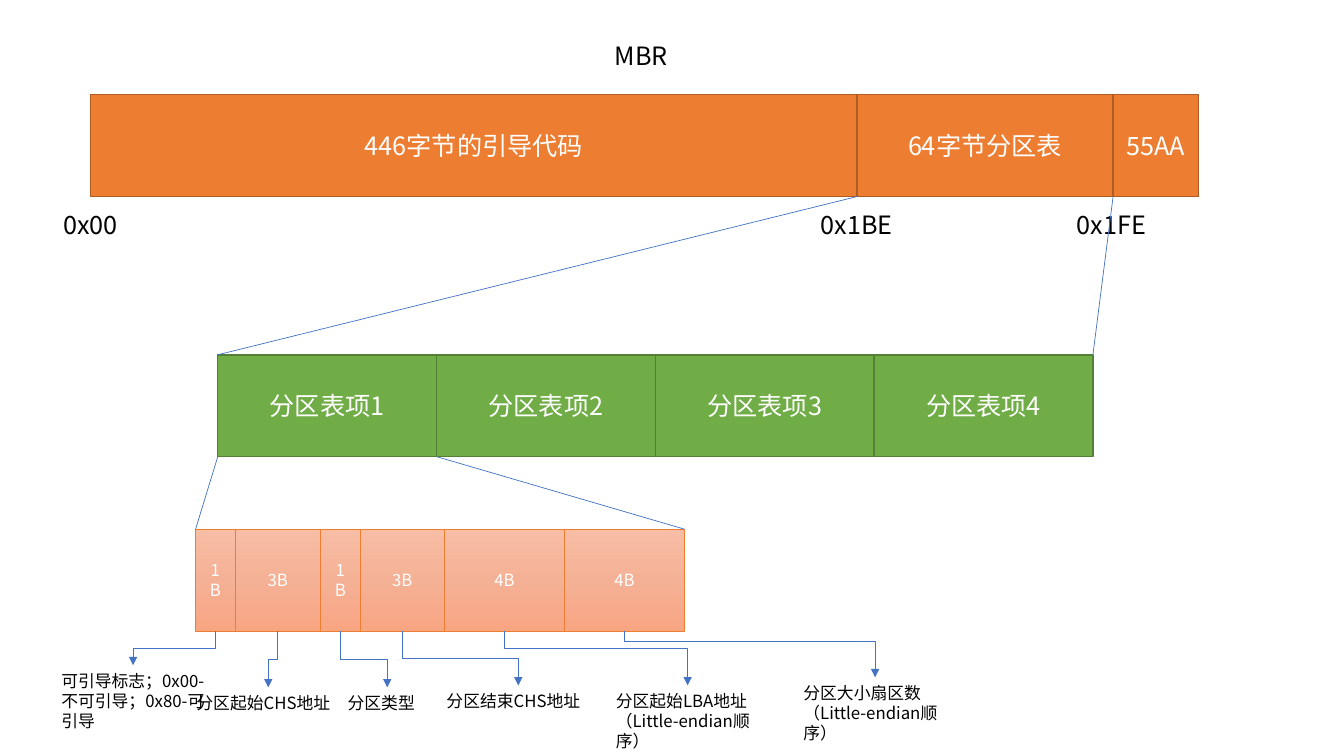
"""Build the MBR layout slide: boot sector, partition table and entry fields."""
from copy import deepcopy
from dataclasses import dataclass

from lxml import etree
from pptx import Presentation
from pptx.dml import color
from pptx.enum import shapes, text
from pptx.oxml import ns
from pptx.shapes import connector
from pptx.slide import Slide
from pptx.text import text as frames
from pptx import util as u

FONT = "Noto Sans CJK SC"
WHITE, BLACK, BLUE = "FFFFFF", "000000", "4472C4"
BAR_HEIGHT = 1.01


@dataclass
class Cell:
    """One labelled part of a bar."""
    label: str
    width: float


@dataclass
class Bar:
    """A row of adjoining cells with one style."""
    left: float
    top: float
    cells: list[Cell]
    fills: list[str]
    border: str
    border_width: float
    size: int

    @property
    def edges(self) -> list[float]:
        """Return the x of every cell boundary."""
        return [self.left + sum(cell.width for cell in self.cells[:i])
                for i in range(len(self.cells) + 1)]

    @property
    def bottom(self) -> float:
        """Return the y of the lower side."""
        return self.top + BAR_HEIGHT


@dataclass
class Caption:
    """Free text on the slide."""
    words: str
    left: float
    top: float
    width: float
    height: float = 0.4
    size: int = 18


@dataclass
class Note:
    """Explanation of an entry field and the bend of its arrow."""
    words: str
    left: float
    top: float
    width: float = 1.62
    height: float = 0.3
    bend: float = 0.5


def rgb(value: str) -> color.RGBColor:
    """Turn a hex string into a colour."""
    return color.RGBColor.from_string(value)


def write(frame: frames.TextFrame, words: str, size: int, ink: str) -> None:
    """Add one formatted run to the first paragraph."""
    run = frame.paragraphs[0].add_run()
    run.text = words
    run.font.name = FONT
    run.font.size = u.Pt(size)
    run.font.color.rgb = rgb(ink)
    latin = run.font._element.find(ns.qn("a:latin"))
    latin.addnext(latin.makeelement(ns.qn("a:ea"), {"typeface": FONT}))


def draw_bar(slide: Slide, bar: Bar) -> None:
    """Draw the cells of a bar from left to right."""
    for cell, left in zip(bar.cells, bar.edges):
        box = slide.shapes.add_shape(
            shapes.MSO_SHAPE.RECTANGLE, u.Inches(left), u.Inches(bar.top),
            u.Inches(cell.width), u.Inches(BAR_HEIGHT))
        box.shadow.inherit = False
        if len(bar.fills) == 1:
            box.fill.solid()
            box.fill.fore_color.rgb = rgb(bar.fills[0])
        else:
            box.fill.gradient()
            box.fill.gradient_angle = 270
            first = next(box._element.spPr.iter(ns.qn("a:gs")))
            first.addnext(deepcopy(first))
            for i, (stop, tone) in enumerate(zip(box.fill.gradient_stops, bar.fills)):
                stop.position = i / (len(bar.fills) - 1)
                stop.color.rgb = rgb(tone)
        box.line.color.rgb = rgb(bar.border)
        box.line.width = u.Pt(bar.border_width)
        frame = box.text_frame
        frame.word_wrap = True
        frame.vertical_anchor = text.MSO_ANCHOR.MIDDLE
        frame.paragraphs[0].alignment = text.PP_ALIGN.CENTER
        write(frame, cell.label, bar.size, WHITE)


def draw_caption(slide: Slide, caption: Caption) -> None:
    """Place free text in a box that grows with it."""
    frame = slide.shapes.add_textbox(
        u.Inches(caption.left), u.Inches(caption.top),
        u.Inches(caption.width), u.Inches(caption.height)).text_frame
    frame.word_wrap = True
    frame.auto_size = text.MSO_AUTO_SIZE.SHAPE_TO_FIT_TEXT
    write(frame, caption.words, caption.size, BLACK)


def draw_line(slide: Slide, kind: shapes.MSO_CONNECTOR, x1: float, y1: float,
              x2: float, y2: float) -> connector.Connector:
    """Draw a thin blue connector without shadow."""
    line = slide.shapes.add_connector(
        kind, u.Inches(x1), u.Inches(y1), u.Inches(x2), u.Inches(y2))
    line.line.color.rgb = rgb(BLUE)
    line.line.width = u.Pt(0.5)
    etree.SubElement(line._element.spPr, ns.qn("a:effectLst"))
    return line


def draw_arrow(slide: Slide, x1: float, y1: float, x2: float, y2: float,
               bend: float) -> None:
    """Draw an arrow that goes down, sideways and down again."""
    drop, shift = y2 - y1, abs(x2 - x1)
    left, top = (x1 + x2 - drop) / 2, (y1 + y2 - shift) / 2
    arrow = draw_line(slide, shapes.MSO_CONNECTOR.ELBOW,
                      left, top, left + drop, top + shift)
    properties = arrow._element.spPr
    frame = properties.find(ns.qn("a:xfrm"))
    frame.set("rot", str((90 if x2 < x1 else 270) * 60000))
    if x2 > x1:
        frame.set("flipH", "1")
    guides = properties.find(ns.qn("a:prstGeom")).get_or_add_avLst()
    etree.SubElement(guides, ns.qn("a:gd"), name="adj1",
                     fmla=f"val {round(bend * 100000)}")
    etree.SubElement(properties.find(ns.qn("a:ln")), ns.qn("a:tailEnd"),
                     type="triangle")


def draw_zoom(slide: Slide, whole: Bar, part: int, detail: Bar) -> None:
    """Join the lower corners of one cell to the bar that details it."""
    for start, end in ((whole.edges[part], detail.edges[0]),
                       (whole.edges[part + 1], detail.edges[-1])):
        draw_line(slide, shapes.MSO_CONNECTOR.STRAIGHT,
                  start, whole.bottom, end, detail.top)


SECTOR = Bar(0.9, 0.94, [Cell("446字节的引导代码", 7.6), Cell("64字节分区表", 2.54),
                         Cell("55AA", 0.85)], ["ED7D31"], "AF5C24", 1, 18)
TABLE = Bar(2.16, 3.52, [Cell(f"分区表项{i}", 2.17) for i in range(1, 5)],
            ["70AD47"], "538035", 1, 18)
ENTRY = Bar(1.94, 5.25, [Cell("1B", 0.39), Cell("3B", 0.85), Cell("1B", 0.39),
                         Cell("3B", 0.84), Cell("4B", 1.19), Cell("4B", 1.19)],
            ["F7BDA5", "F5B196", "F8A582"], "ED7D31", 0.5, 12)
CAPTIONS = [
    Caption("MBR", 6, 0.35, 0.8),
    Caption("0x00", 0.53, 2.03, 0.8),
    Caption("0x1BE", 8.04, 2.03, 1),
    Caption("0x1FE", 10.58, 2.03, 1),
]
NOTES = [
    Note("可引导标志；0x00-不可引导；0x80-可引导", 0.51, 6.6, height=0.71),
    Note("分区起始CHS地址", 1.85, 6.82),
    Note("分区类型", 3.35, 6.82, width=0.98),
    Note("分区结束CHS地址", 4.33, 6.8),
    Note("分区起始LBA地址（Little-endian顺序）", 6.01, 6.8, height=0.5, bend=0.32),
    Note("分区大小扇区数（Little-endian顺序）", 7.87, 6.72, height=0.5, bend=0.22),
]

deck = Presentation()
deck.slide_width, deck.slide_height = u.Inches(13.33), u.Inches(7.5)
layout_slide = deck.slides.add_slide(deck.slide_layouts[6])
for row in (SECTOR, TABLE, ENTRY):
    draw_bar(layout_slide, row)
for heading in CAPTIONS:
    draw_caption(layout_slide, heading)
draw_zoom(layout_slide, SECTOR, 1, TABLE)
draw_zoom(layout_slide, TABLE, 0, ENTRY)
for note, field_left, field_right in zip(NOTES, ENTRY.edges, ENTRY.edges[1:]):
    draw_caption(layout_slide, Caption(note.words, note.left, note.top,
                                       note.width, note.height, 12))
    draw_arrow(layout_slide, (field_left + field_right) / 2, ENTRY.bottom,
               note.left + note.width / 2, note.top, note.bend)
deck.save("out.pptx")
